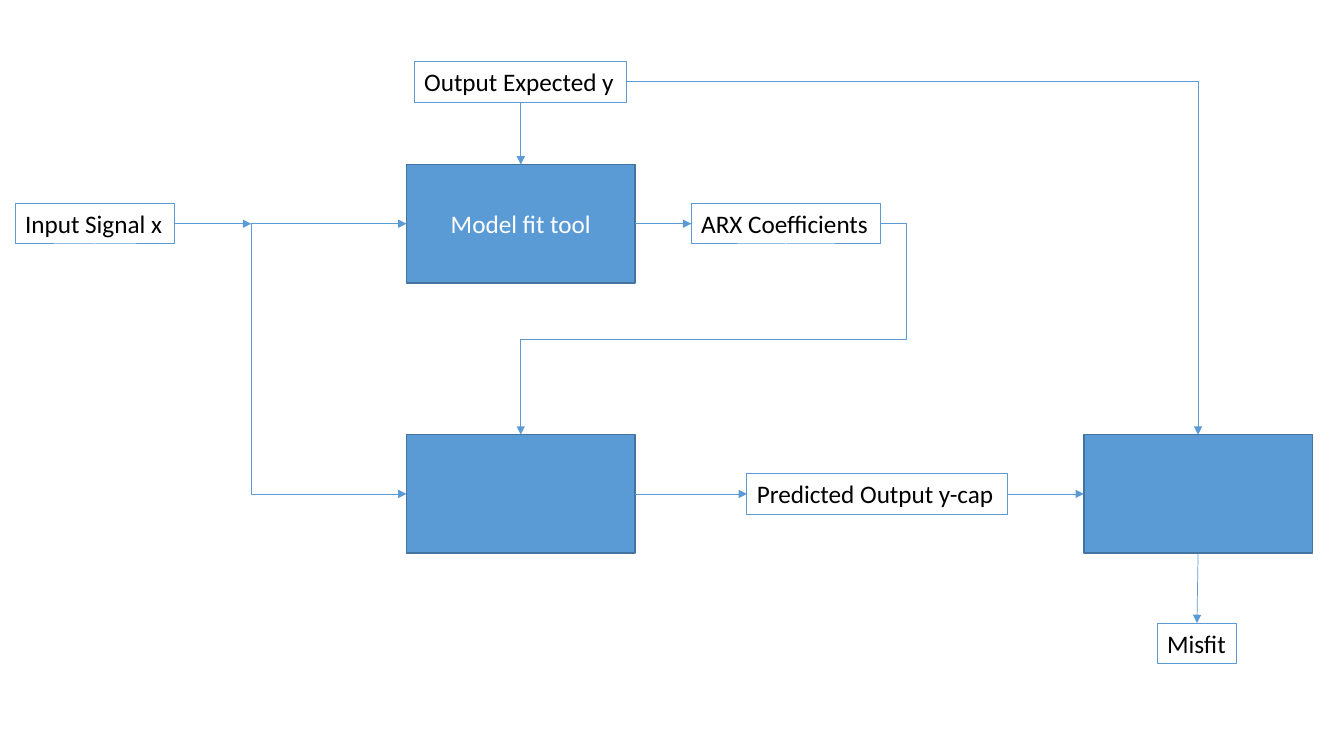
from lxml import etree
from pptx import Presentation
from pptx.dml.color import RGBColor
from pptx.enum.shapes import MSO_CONNECTOR, MSO_SHAPE
from pptx.enum.text import MSO_ANCHOR, MSO_AUTO_SIZE, PP_ALIGN
from pptx.oxml.ns import qn
from pptx.util import Pt

STRAIGHT, ELBOW = MSO_CONNECTOR.STRAIGHT, MSO_CONNECTOR.ELBOW
RECTANGLE = MSO_SHAPE.RECTANGLE
MIDDLE, CENTER = MSO_ANCHOR.MIDDLE, PP_ALIGN.CENTER
GROW = MSO_AUTO_SIZE.SHAPE_TO_FIT_TEXT
COLORS = {name: RGBColor.from_string(value) for name, value in {
    "blue": "5B9BD5", "edge": "43739E", "black": "000000", "white": "FFFFFF"}.items()}

BLOCK_W, BLOCK_H, LABEL_H = 163.2, 84.5, 29.08
TOP_ROW, UPPER_ROW, LOWER_ROW, MISFIT_ROW = 58.4, 159.8, 352.8, 459.6
MODEL_X, COMPARE_X = 372, 855.8
BRANCH_X = 179.4
MODEL_LEFT, MODEL_RIGHT = MODEL_X - BLOCK_W / 2, MODEL_X + BLOCK_W / 2
LOWER_TOP = LOWER_ROW - BLOCK_H / 2

deck = Presentation()
deck.slide_width, deck.slide_height = Pt(960), Pt(540)
page = deck.slides.add_slide(deck.slide_layouts[6])


def write(shape, text, color):
    para = shape.text_frame.paragraphs[0]
    para.text = text
    para.font.name = "Calibri"
    para.font.size = Pt(18)
    para.font.color.rgb = COLORS[color]
    return para


def add_arrow(kind, x1, y1, x2, y2):
    arrow = page.shapes.add_connector(kind, Pt(x1), Pt(y1), Pt(x2), Pt(y2))
    arrow.line.color.rgb = COLORS["blue"]
    arrow.line.width = Pt(0.5)
    etree.SubElement(arrow.line._get_or_add_ln(), qn("a:tailEnd"), type="triangle")
    etree.SubElement(arrow._element.spPr, qn("a:effectLst"))
    return arrow


for center_x, center_y, text in [
    (MODEL_X, UPPER_ROW, "Model fit tool"),
    (MODEL_X, LOWER_ROW, ""),
    (COMPARE_X, LOWER_ROW, ""),
]:
    block = page.shapes.add_shape(RECTANGLE, Pt(center_x - BLOCK_W / 2),
                                  Pt(center_y - BLOCK_H / 2), Pt(BLOCK_W), Pt(BLOCK_H))
    block.shadow.inherit = False
    block.fill.solid()
    block.fill.fore_color.rgb = COLORS["blue"]
    block.line.color.rgb = COLORS["edge"]
    block.line.width = Pt(1)
    if text:
        block.text_frame.vertical_anchor = MIDDLE
        write(block, text, "white").alignment = CENTER

for left, center_y, width, text in [
    (295.9, TOP_ROW, 151.6, "Output Expected y"),
    (10.8, UPPER_ROW, 113.8, "Input Signal x"),
    (493.8, UPPER_ROW, 135.4, "ARX Coefficients"),
    (533.6, LOWER_ROW, 186, "Predicted Output y-cap"),
    (826.5, MISFIT_ROW, 56.9, "Misfit"),
]:
    label = page.shapes.add_textbox(Pt(left), Pt(center_y - LABEL_H / 2), Pt(width), Pt(LABEL_H))
    label.line.color.rgb = COLORS["blue"]
    label.line.width = Pt(0.75)
    label.text_frame.word_wrap = False
    label.text_frame.auto_size = GROW
    write(label, text, "black")

for ends in [
    (124.6, UPPER_ROW, BRANCH_X, UPPER_ROW),
    (BRANCH_X, UPPER_ROW, MODEL_LEFT, UPPER_ROW),
    (MODEL_RIGHT, UPPER_ROW, 493.8, UPPER_ROW),
    (MODEL_RIGHT, LOWER_ROW, 533.6, LOWER_ROW),
    (719.6, LOWER_ROW, COMPARE_X - BLOCK_W / 2, LOWER_ROW),
    (MODEL_X, TOP_ROW + LABEL_H / 2, MODEL_X, UPPER_ROW - BLOCK_H / 2),
    (COMPARE_X, LOWER_ROW + BLOCK_H / 2, 855, MISFIT_ROW - LABEL_H / 2),
]:
    add_arrow(STRAIGHT, *ends)

drop = LOWER_ROW - UPPER_ROW
run = MODEL_LEFT - BRANCH_X
middle_x, middle_y = BRANCH_X + run / 2, UPPER_ROW + drop / 2
for ends, preset, turn, guides in [
    ((447.5, TOP_ROW, COMPARE_X, LOWER_TOP), "bentConnector2", 0, []),
    ((629.2, UPPER_ROW, MODEL_X, LOWER_TOP), "bentConnector4", 0, [-7000, 54800]),
    ((middle_x + drop / 2, middle_y - run / 2, middle_x - drop / 2, middle_y + run / 2),
     "bentConnector2", 270, []),
]:
    properties = add_arrow(ELBOW, *ends)._element.spPr
    if turn:
        properties.find(qn("a:xfrm")).set("rot", str(turn * 60000))
    geometry = properties.find(qn("a:prstGeom"))
    geometry.set("prst", preset)
    for number, value in enumerate(guides, 1):
        etree.SubElement(geometry.find(qn("a:avLst")), qn("a:gd"),
                         name=f"adj{number}", fmla=f"val {value}")

deck.save("out.pptx")
